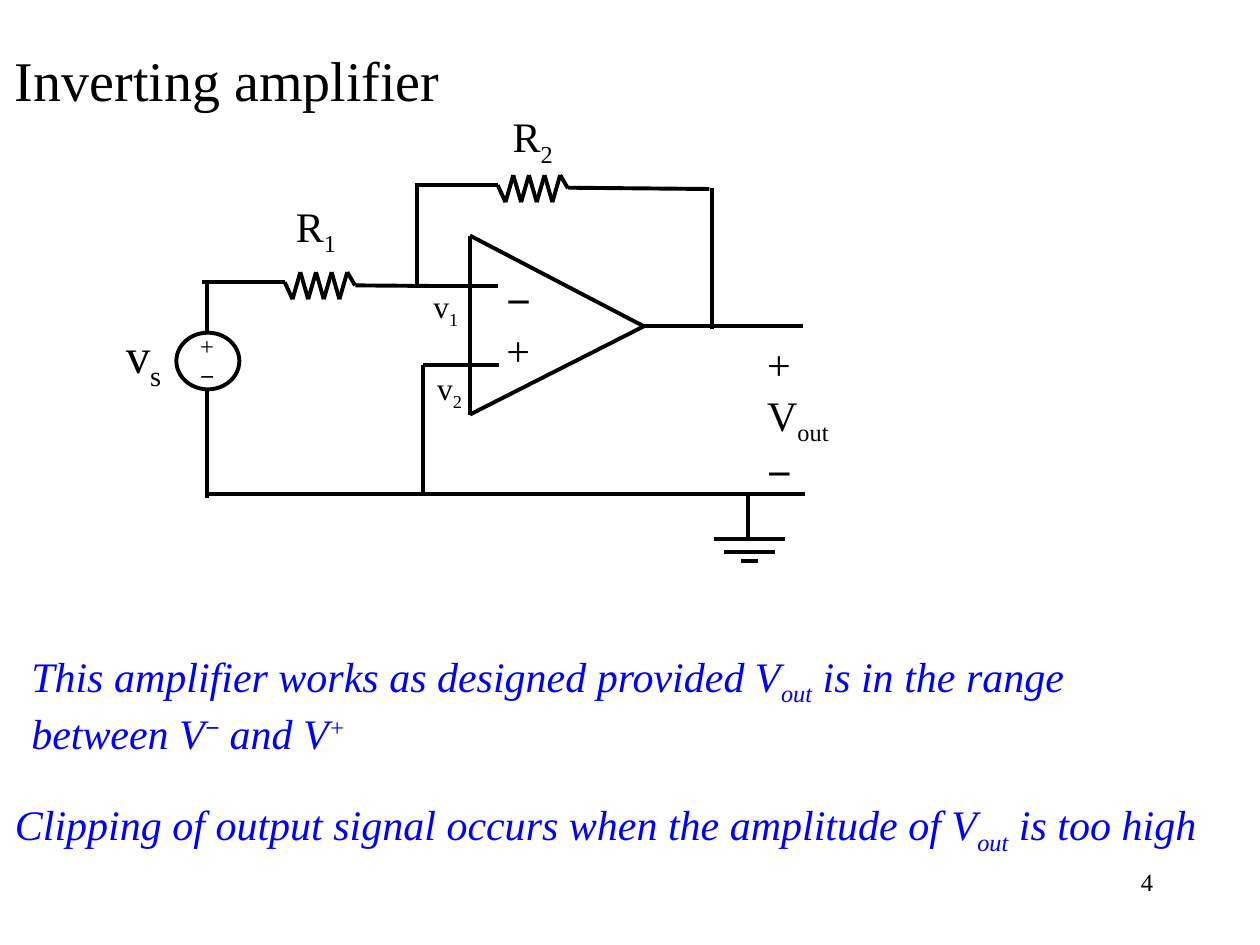
from dataclasses import dataclass
from itertools import pairwise
from typing import NamedTuple

from lxml.etree import SubElement
from pptx import Presentation
from pptx.dml.color import RGBColor
from pptx.enum.shapes import MSO_CONNECTOR, MSO_SHAPE
from pptx.enum.text import MSO_ANCHOR, PP_ALIGN
from pptx.oxml.ns import qn
from pptx.slide import Slide
from pptx.util import Inches, Pt

BLACK = RGBColor(0x00, 0x00, 0x00)
BLUE = RGBColor(0x00, 0x00, 0xFF)
SERIF = "Times New Roman"
SANS = "Arial"
MINUS = "−"
STROKE = Pt(2.25)
SUBSCRIPT = -25
SUPERSCRIPT = 30

SLIDE_WIDTH = Inches(10)
SLIDE_HEIGHT = Inches(7.5)
COLUMN = SLIDE_WIDTH / 100
ROW = SLIDE_HEIGHT / 75


class Point(NamedTuple):
    column: float
    row: float


class Part(NamedTuple):
    text: str
    baseline: int = 0


@dataclass(frozen=True)
class Label:
    column: float
    row: float
    columns: float
    rows: float
    size: int
    lines: list[list[Part]]
    color: RGBColor = BLACK
    italic: bool = False
    wrap: bool = False
    align: PP_ALIGN = PP_ALIGN.LEFT
    anchor: MSO_ANCHOR = MSO_ANCHOR.TOP


@dataclass(frozen=True)
class Resistor:
    column: float
    row: float
    step: float = 0.62
    low: float = 1.35
    high: float = -0.8
    end: float = 0.25
    bends: int = 8

    def points(self) -> list[Point]:
        offsets = [self.low if bend % 2 else self.high for bend in range(1, self.bends + 1)]
        return [
            Point(self.column + index * self.step, self.row + offset)
            for index, offset in enumerate([0, *offsets, self.end])
        ]


def across(column: float) -> int:
    return round(column * COLUMN)


def down(row: float) -> int:
    return round(row * ROW)


def draw_wire(slide: Slide, points: list[Point]) -> None:
    for start, end in pairwise(points):
        wire = slide.shapes.add_connector(
            MSO_CONNECTOR.STRAIGHT,
            across(start.column), down(start.row), across(end.column), down(end.row),
        )
        wire.line.color.rgb = BLACK
        wire.line.width = STROKE
        SubElement(wire._element.spPr, qn("a:effectLst"))


def draw_source(slide: Slide, column: float, row: float, columns: float, rows: float) -> None:
    source = slide.shapes.add_shape(
        MSO_SHAPE.OVAL, across(column), down(row), across(columns), down(rows)
    )
    source.shadow.inherit = False
    source.fill.background()
    source.line.color.rgb = BLACK
    source.line.width = STROKE


def draw_label(slide: Slide, label: Label) -> None:
    frame = slide.shapes.add_textbox(
        across(label.column), down(label.row), across(label.columns), down(label.rows)
    ).text_frame
    frame.word_wrap = label.wrap
    frame.vertical_anchor = label.anchor
    frame.text = "\n".join(line[0].text for line in label.lines)
    for paragraph, line in zip(frame.paragraphs, label.lines):
        paragraph.alignment = label.align
        for part in line[1:]:
            paragraph.add_run().text = part.text
        for run, part in zip(paragraph.runs, line):
            run.font.name = SANS if part.text == MINUS else SERIF
            run.font.size = Pt(label.size)
            run.font.color.rgb = label.color
            run.font.italic = label.italic
            if part.baseline:
                run._r.get_or_add_rPr().set("baseline", str(part.baseline * 1000))


def symbol(name: str, index: str) -> list[Part]:
    return [Part(name), Part(index, SUBSCRIPT)]


PLUS_LINE = [Part("+")]
MINUS_LINE = [Part(MINUS)]

RESISTORS = [Resistor(22.6, 22.4), Resistor(39.5, 14.7)]

WIRES = [
    [Point(37.3, 32.9), Point(37.3, 18.7), Point(51.1, 25.9), Point(37.3, 32.9)],
    [Point(33.6, 22.7), Point(39.5, 22.7)],
    [Point(39.6, 29), Point(33.6, 29), Point(33.6, 39.4)],
    [Point(51.1, 25.9), Point(63.7, 25.9)],
    [Point(16.4, 39.2), Point(63.9, 39.2)],
    [Point(59.4, 39.3), Point(59.4, 42.8)],
    [Point(16, 22.4), Point(22.6, 22.4)],
    [Point(28.2, 22.65), Point(34.3, 22.7)],
    [Point(32.9, 14.7), Point(39.5, 14.7)],
    [Point(45.1, 14.9), Point(56.3, 15)],
    [Point(33.1, 22.7), Point(33.1, 14.5)],
    [Point(56.5, 14.9), Point(56.5, 26.1)],
    [Point(16.4, 26.4), Point(16.4, 22.2)],
    [Point(16.4, 39.5), Point(16.4, 31)],
]

GROUND_CENTER = 59.5
GROUND_BARS = [(42.8, 5.6), (43.8, 4.1), (44.5, 1.4)]

LABELS = [
    Label(0.2, 0, 99.8, 12.5, 32, [[Part("Inverting amplifier")]],
          wrap=True, anchor=MSO_ANCHOR.MIDDLE),
    Label(39.2, 21.3, 3.9, 9, 24, [MINUS_LINE, PLUS_LINE]),
    Label(33.4, 22.3, 4.1, 4, 18, [symbol("v", "1")]),
    Label(33.7, 28.8, 4.1, 4, 18, [symbol("v", "2")]),
    Label(59.9, 26.4, 8.3, 13.1, 24, [PLUS_LINE, symbol("V", "out"), MINUS_LINE]),
    Label(22.5, 15.4, 5.3, 5, 24, [symbol("R", "1")]),
    Label(14.9, 25.8, 3.1, 5.7, 14, [PLUS_LINE, MINUS_LINE]),
    Label(9, 25.3, 5, 5.7, 28, [symbol("v", "s")]),
    Label(39.7, 8.3, 5.3, 5, 24, [symbol("R", "2")]),
    Label(1.5, 51.1, 86.4, 9.1, 24, [
        [*symbol("This amplifier works as designed provided V", "out"),
         Part(" is in the range")],
        [Part("between V"), Part(MINUS, SUPERSCRIPT), Part(" and V"), Part("+", SUPERSCRIPT)],
    ], color=BLUE, italic=True),
    Label(0.2, 62.9, 97.6, 5, 24, [
        [*symbol("Clipping of output signal occurs when the amplitude of V", "out"),
         Part(" is too high")],
    ], color=BLUE, italic=True),
    Label(71.7, 68.3, 20.8, 5, 14, [[Part("4")]], wrap=True, align=PP_ALIGN.RIGHT),
]


def main() -> None:
    deck = Presentation()
    deck.slide_width = SLIDE_WIDTH
    deck.slide_height = SLIDE_HEIGHT
    slide = deck.slides.add_slide(deck.slide_layouts[6])
    for wire in WIRES:
        draw_wire(slide, wire)
    for row, columns in GROUND_BARS:
        half = columns / 2
        draw_wire(slide, [Point(GROUND_CENTER - half, row), Point(GROUND_CENTER + half, row)])
    for resistor in RESISTORS:
        draw_wire(slide, resistor.points())
    draw_source(slide, 14, 26.4, 5, 4.5)
    for label in LABELS:
        draw_label(slide, label)
    deck.save("out.pptx")


if __name__ == "__main__":
    main()
